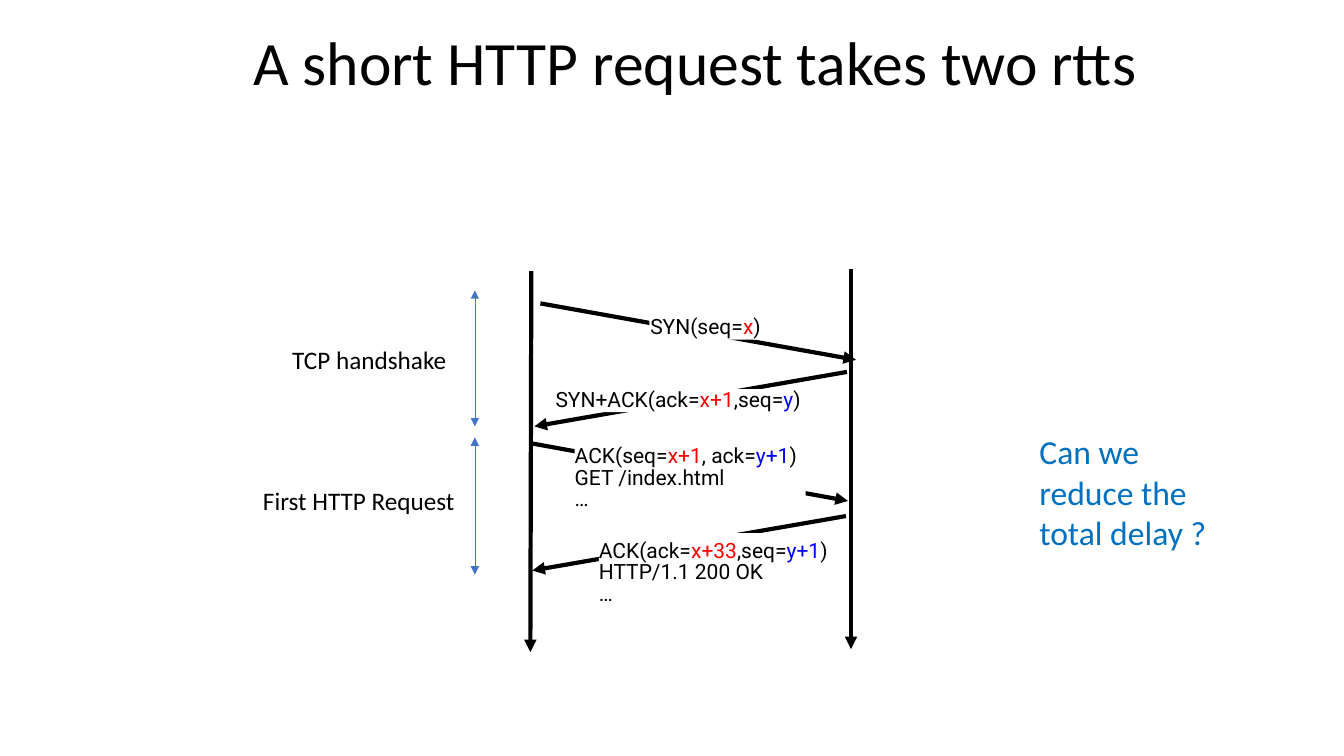
import dataclasses

import pptx
import pptx.dml.color
import pptx.enum.shapes
import pptx.enum.text
import pptx.oxml.xmlchemy
import pptx.util

Inches = pptx.util.Inches
Pt = pptx.util.Pt
RGB = pptx.dml.color.RGBColor.from_string


@dataclasses.dataclass(frozen=True)
class Theme:
    black: str = "000000"
    white: str = "FFFFFF"
    client: str = "FF0000"
    server: str = "0000FF"
    span: str = "4472C4"
    question: str = "0070C0"
    body_font: str = "Calibri"
    message_font: str = "Roboto"
    title_size: int = 44
    question_size: int = 24
    label_size: int = 18
    message_size: int = 15
    arrow_width: float = 3
    span_width: float = 0.5
    line_spacing: float = 0.84


THEME = Theme()


def set_font(p, name, size, color=None):
    p.font.name = name
    p.font.size = Pt(size)
    if color:
        p.font.color.rgb = RGB(color)


def add_title(s, text):
    sp = s.shapes.title
    sp.left, sp.top, sp.width, sp.height = map(Inches, (2.41, 0, 8.98, 1.33))
    tf = sp.text_frame
    tf.text = text
    tf.auto_size = pptx.enum.text.MSO_AUTO_SIZE.NONE
    tf.vertical_anchor = pptx.enum.text.MSO_ANCHOR.MIDDLE
    p = tf.paragraphs[0]
    p.alignment = pptx.enum.text.PP_ALIGN.LEFT
    p.line_spacing = THEME.line_spacing
    set_font(p, THEME.body_font, THEME.title_size, THEME.black)


def add_arrow(s, start, end, color=THEME.black, width=THEME.arrow_width, ends=("tailEnd",)):
    c = s.shapes.add_connector(
        pptx.enum.shapes.MSO_CONNECTOR.STRAIGHT, *map(Inches, start + end))
    c.line.color.rgb = RGB(color)
    c.line.width = Pt(width)
    ln = c.line._get_or_add_ln()
    for tag in ends:
        head = pptx.oxml.xmlchemy.OxmlElement(f"a:{tag}")
        head.set("type", "triangle")
        ln.append(head)
    c._element.spPr.append(pptx.oxml.xmlchemy.OxmlElement("a:effectLst"))


def add_span(s, top, bottom):
    add_arrow(s, (4.71, top), (4.71, bottom), THEME.span, THEME.span_width,
              ("headEnd", "tailEnd"))


def add_backing(s, box):
    sp = s.shapes.add_shape(pptx.enum.shapes.MSO_SHAPE.RECTANGLE, *map(Inches, box))
    sp.shadow.inherit = False
    sp.fill.solid()
    sp.fill.fore_color.rgb = RGB(THEME.white)
    sp.line.fill.background()


def add_text(s, box, text, size, color, wrap=False):
    tf = s.shapes.add_textbox(*map(Inches, box)).text_frame
    tf.word_wrap = wrap
    tf.auto_size = pptx.enum.text.MSO_AUTO_SIZE.SHAPE_TO_FIT_TEXT
    tf.text = text
    set_font(tf.paragraphs[0], THEME.body_font, size, color)


def add_message(s, box, parts, payload=()):
    sp = s.shapes.add_textbox(*map(Inches, box))
    if payload:
        sp.fill.solid()
        sp.fill.fore_color.rgb = RGB(THEME.white)
    tf = sp.text_frame
    tf.margin_left = tf.margin_right = tf.margin_top = tf.margin_bottom = 0
    tf.word_wrap = False
    tf.auto_size = pptx.enum.text.MSO_AUTO_SIZE.SHAPE_TO_FIT_TEXT
    tf.vertical_anchor = pptx.enum.text.MSO_ANCHOR.MIDDLE
    p = tf.paragraphs[0]
    for text, color in parts:
        r = p.add_run()
        r.text = text
        r.font.color.rgb = RGB(color)
    if payload:
        p = tf.add_paragraph()
        p.text = "\v".join(payload)
        p.font.color.rgb = RGB(THEME.black)
    for p in tf.paragraphs:
        p.line_spacing = THEME.line_spacing
        set_font(p, THEME.message_font, THEME.message_size)


def main():
    prs = pptx.Presentation()
    prs.slide_width, prs.slide_height = Inches(13.33), Inches(7.5)
    s = prs.slides.add_slide(prs.slide_layouts.get_by_name("Title Only"))
    black, client, server = THEME.black, THEME.client, THEME.server

    add_title(s, "A short HTTP request takes two rtts")
    add_arrow(s, (5.27, 2.69), (5.26, 6.47))
    add_arrow(s, (8.44, 2.67), (8.44, 6.44))

    add_arrow(s, (5.28, 4.4), (8.41, 4.97))
    add_message(s, (5.7, 4.43, 2.29, 0.64),
                [("ACK(seq=", black), ("x+1", client), (", ack=", black),
                 ("y+1", server), (")", black)],
                ("GET /index.html", "…"))

    add_arrow(s, (8.4, 3.69), (5.3, 4.23))
    add_backing(s, (5.5, 3.86, 2.74, 0.23))
    add_message(s, (5.51, 3.87, 2.55, 0.22),
                [("SYN+ACK(ack=", black), ("x+1", client), (",seq=", black),
                 ("y", server), (")", black)])

    add_arrow(s, (5.36, 3.01), (8.49, 3.57))
    add_backing(s, (6.44, 3.14, 1.19, 0.23))
    add_message(s, (6.45, 3.15, 1.14, 0.22),
                [("SYN(seq=", black), ("x", client), (")", black)])

    add_arrow(s, (8.39, 5.12), (5.28, 5.66))
    add_backing(s, (5.49, 5.29, 2.74, 0.23))
    add_message(s, (5.94, 5.37, 2.35, 0.64),
                [("ACK(ack=", black), ("x+33", client), (",seq=", black),
                 ("y+1", server), (")", black)],
                ("HTTP/1.1 200 OK", "…"))

    add_span(s, 2.88, 4.23)
    add_span(s, 4.34, 5.7)
    add_text(s, (10.21, 4.23, 1.89, 1.31), "Can we reduce the total delay ?",
             THEME.question_size, THEME.question, wrap=True)
    add_text(s, (2.8, 3.37, 1.75, 0.4), "TCP handshake", THEME.label_size, black)
    add_text(s, (2.51, 4.77, 2.12, 0.4), "First HTTP Request", THEME.label_size, black)
    prs.save("out.pptx")


if __name__ == "__main__":
    main()
